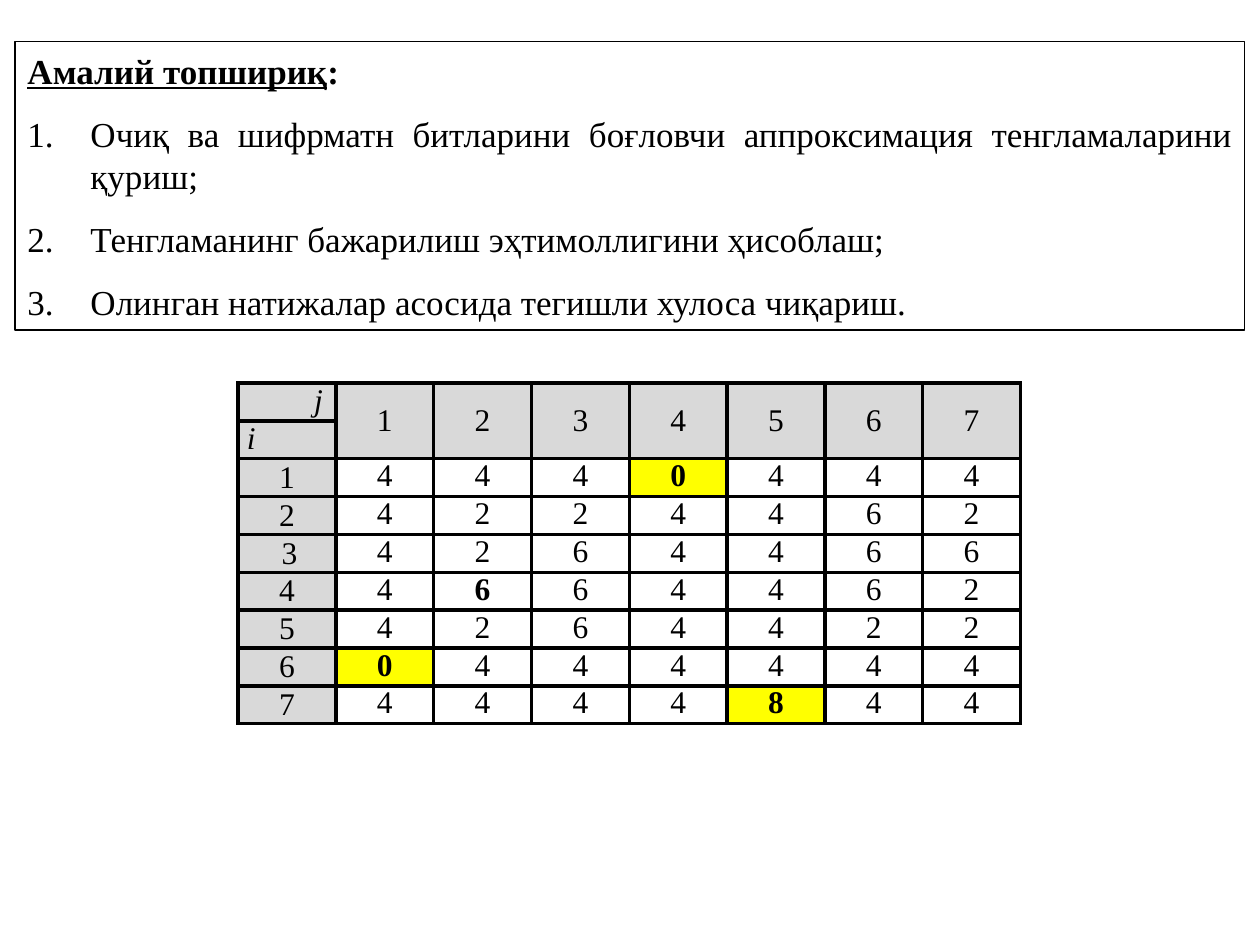
from dataclasses import dataclass

from lxml import etree
from pptx import Presentation, util as u
from pptx.dml.color import RGBColor
from pptx.enum import shapes, text
from pptx.oxml import ns

COLORS = {"ink": "000000", "paper": "FFFFFF", "header": "D9D9D9", "mark": "FFFF00"}
FONT = "Times New Roman"
CENTER = text.PP_ALIGN.CENTER
TASKS = [
    "Очиқ ва шифрматн битларини боғловчи аппроксимация тенгламаларини қуриш;",
    "Тенгламанинг бажарилиш эҳтимоллигини ҳисоблаш;",
    "Олинган натижалар асосида тегишли хулоса чиқариш.",
]
VALUES = ["4440444", "4224462", "4264466", "4664462", "4264422", "0444444", "4444844"]
MARKED = {(1, 4), (6, 1), (7, 5)}
BOLD = MARKED | {(4, 2)}
# Left margin and first-line indent of row headings
ROW_INDENTS = {1: (0.04, -0.04), 3: (0.5, -0.46), 7: (0.04, -0.04)}


@dataclass
class CellStyle:
    fill: str | None = None
    bold: bool = False
    italic: bool = False
    middle: bool = False
    align: text.PP_ALIGN = CENTER
    indent: tuple[float, float] = (0, 0)


def color(name: str) -> RGBColor:
    return RGBColor.from_string(COLORS[name])


def add_span(para, words: str, size: int, **formats) -> None:
    span = para.add_run()
    span.text = words
    for name, value in {"name": FONT, "size": u.Pt(size), **formats}.items():
        setattr(span.font, name, value)
    span.font.color.rgb = color("ink")


def set_indent(para, left: float, first: float) -> None:
    properties = para._p.get_or_add_pPr()
    properties.set("marL", str(u.Inches(left)))
    properties.set("indent", str(u.Inches(first)))


def add_task_box(page) -> None:
    box = page.shapes.add_shape(shapes.MSO_SHAPE.RECTANGLE, u.Inches(0.12), u.Inches(0.33),
                                u.Inches(9.76), u.Inches(2.29))
    box.shadow.inherit = False
    box.fill.solid()
    box.fill.fore_color.rgb = color("paper")
    box.line.color.rgb = color("ink")
    box.line.width = u.Pt(0.75)
    frame = box.text_frame
    formats = {"word_wrap": True, "vertical_anchor": text.MSO_ANCHOR.MIDDLE,
               "auto_size": text.MSO_AUTO_SIZE.SHAPE_TO_FIT_TEXT}
    for name, value in formats.items():
        setattr(frame, name, value)

    # Heading
    para = frame.paragraphs[0]
    para.alignment = text.PP_ALIGN.LEFT
    para.space_after = u.Pt(12)
    add_span(para, "Амалий топшириқ", 20, bold=True, underline=True)
    add_span(para, ":", 20, bold=True)

    # Numbered tasks
    for task in TASKS:
        para = frame.add_paragraph()
        para.alignment = text.PP_ALIGN.JUSTIFY
        para.space_after = u.Pt(12)
        set_indent(para, 0.5, -0.5)
        etree.SubElement(para._p.pPr, ns.qn("a:buAutoNum"), type="arabicPeriod")
        add_span(para, task, 20)


def add_borders(cell) -> None:
    properties = cell._tc.get_or_add_tcPr()
    for side in ("lnL", "lnR", "lnT", "lnB"):
        line = etree.SubElement(properties, ns.qn(f"a:{side}"), w=str(u.Pt(2.25)))
        fill = etree.SubElement(line, ns.qn("a:solidFill"))
        etree.SubElement(fill, ns.qn("a:srgbClr"), val=COLORS["ink"])


def fill_cell(cell, words: str, style: CellStyle) -> None:
    if style.fill:
        cell.fill.solid()
        cell.fill.fore_color.rgb = color(style.fill)
    if style.middle:
        cell.vertical_anchor = text.MSO_ANCHOR.MIDDLE
    para = cell.text_frame.paragraphs[0]
    para.alignment = style.align
    set_indent(para, *style.indent)
    add_span(para, words, 18, bold=style.bold, italic=style.italic)


def add_value_table(page) -> None:
    table = page.shapes.add_table(9, 8, u.Inches(1.89), u.Inches(3.04),
                                  u.Inches(6.21), u.Inches(2.7)).table
    table.first_row = table.horz_banding = False
    margins = {"margin_left": 0.07, "margin_right": 0.07, "margin_top": 0, "margin_bottom": 0}
    for cell in table.iter_cells():
        for name, value in margins.items():
            setattr(cell, name, u.Inches(value))
        add_borders(cell)
        cell.fill.background()

    # Corner labels and column headings
    fill_cell(table.cell(0, 0), "j", CellStyle("header", italic=True, indent=(0.5, 0)))
    fill_cell(table.cell(1, 0), "i",
              CellStyle("header", italic=True, align=text.PP_ALIGN.LEFT))
    for j in range(1, 8):
        table.cell(0, j).merge(table.cell(1, j))
        fill_cell(table.cell(0, j), str(j), CellStyle("header", middle=True))

    # Row headings and values
    for i, values in enumerate(VALUES, 1):
        heading = CellStyle("header", middle=True, indent=ROW_INDENTS.get(i, (0, 0)))
        fill_cell(table.cell(i + 1, 0), str(i), heading)
        for j, value in enumerate(values, 1):
            style = CellStyle("mark" if (i, j) in MARKED else None, bold=(i, j) in BOLD)
            fill_cell(table.cell(i + 1, j), value, style)


def main() -> None:
    deck = Presentation()
    deck.slide_width, deck.slide_height = u.Inches(10), u.Inches(7.5)
    page = deck.slides.add_slide(deck.slide_layouts[6])
    add_task_box(page)
    add_value_table(page)
    deck.save("out.pptx")


if __name__ == "__main__":
    main()
